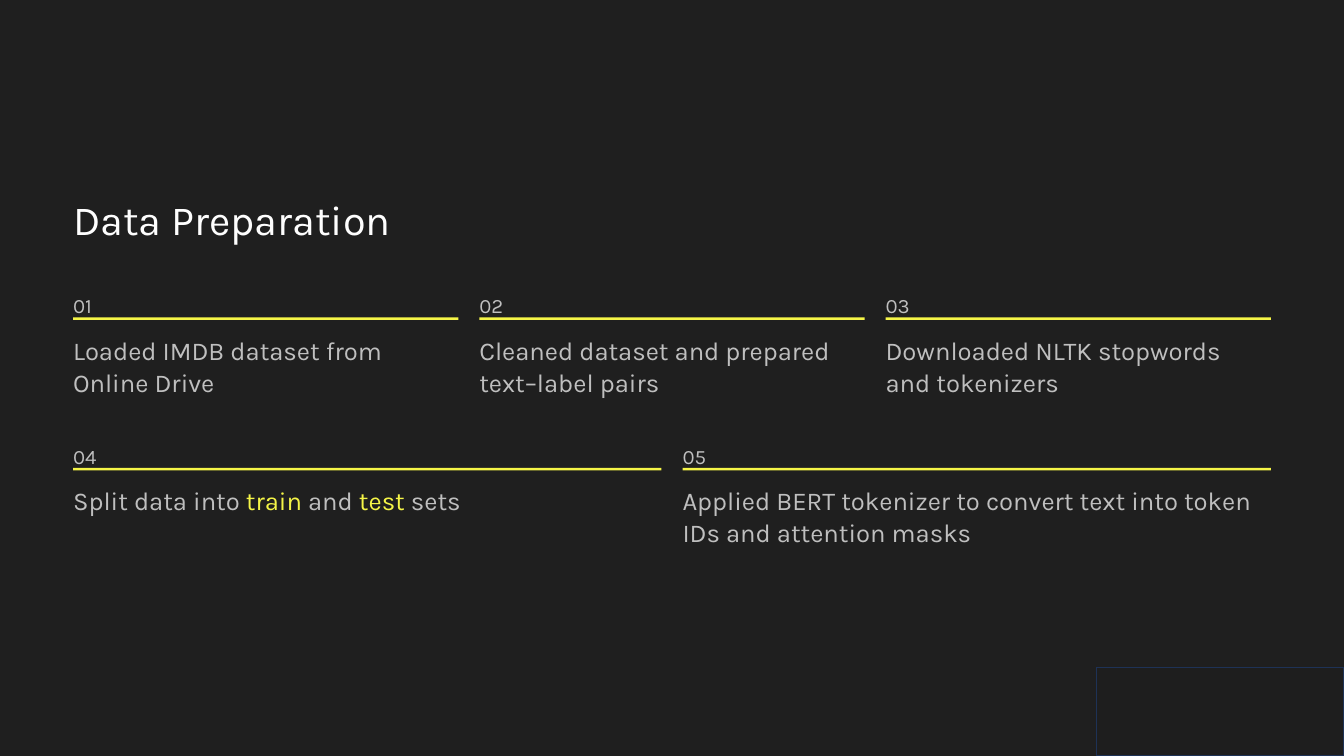
import pptx
import pptx.util
import pptx.dml.color
import pptx.enum.shapes
import pptx.enum.text
from pptx.util import Inches

DARK, WHITE, GREY, YELLOW = "1F1F1F", "FEFEFE", "BFBFBF", "F5F547"
LEFT, WIDTH, GAP = 0.87, 14.26, 0.25
TOP, PITCH = 3.39, 1.79

# Stars enclose highlighted words
ROWS = [
    ["Loaded IMDB dataset from Online Drive",
     "Cleaned dataset and prepared text–label pairs",
     "Downloaded NLTK stopwords and tokenizers"],
    ["Split data into *train* and *test* sets",
     "Applied BERT tokenizer to convert text into token IDs and attention masks"],
]


def color(code):
    return pptx.dml.color.RGBColor.from_string(code)


def place(shape, x, y, w, h):
    shape.left, shape.top = Inches(x), Inches(y)
    shape.width, shape.height = Inches(w), Inches(h)


def write(shape, text, size, lead, tint, wrap=True):
    frame = shape.text_frame
    frame.margin_left = frame.margin_right = 0
    frame.margin_top = frame.margin_bottom = 0
    frame.auto_size = pptx.enum.text.MSO_AUTO_SIZE.NONE
    frame.vertical_anchor = pptx.enum.text.MSO_ANCHOR.TOP
    frame.word_wrap = wrap
    para = frame.paragraphs[0]
    para.alignment = pptx.enum.text.PP_ALIGN.LEFT
    para.line_spacing = pptx.util.Pt(lead)
    para.space_before = pptx.util.Pt(0)
    for i, part in enumerate(text.split("*")):
        run = para.add_run()
        run.text = part
        run.font.name = "Karla"
        run.font.size = pptx.util.Pt(size)
        run.font.color.rgb = color(YELLOW if i % 2 else tint)


def label(slide, x, y, w, h, *style, wrap=True):
    box = slide.shapes.add_textbox(Inches(x), Inches(y), Inches(w), Inches(h))
    write(box, *style, wrap=wrap)


def block(slide, x, y, w, h, fill, line=None):
    shape = slide.shapes.add_shape(
        pptx.enum.shapes.MSO_SHAPE.RECTANGLE,
        Inches(x), Inches(y), Inches(w), Inches(h))
    shape.shadow.inherit = False
    shape.fill.solid()
    shape.fill.fore_color.rgb = color(fill)
    if line:
        shape.line.color.rgb = color(line)
        shape.line.width = pptx.util.Pt(1)
    else:
        shape.line.fill.background()


def step(slide, num, text, x, y, w):
    label(slide, x, y, 0.25, 0.31, f"{num:02}", 17.5, 28.5, GREY, wrap=False)
    block(slide, x, y + 0.39, w, 0.03, YELLOW)
    label(slide, x, y + 0.58, w, 0.78, text, 22, 27.5, GREY)


def main():
    deck = pptx.Presentation()
    deck.slide_width, deck.slide_height = Inches(16), Inches(9)
    slide = deck.slides.add_slide(deck.slide_layouts[5])
    slide.background.fill.solid()
    slide.background.fill.fore_color.rgb = color(DARK)

    # Title
    title = slide.shapes.title
    place(title, LEFT, 2.28, 4.96, 0.62)
    write(title, "Data Preparation", 35.5, 44.5, WHITE, wrap=False)

    # Numbered steps, each row filling the full width
    num = 0
    for r, row in enumerate(ROWS):
        w = (WIDTH - GAP * (len(row) - 1)) / len(row)
        for c, text in enumerate(row):
            num += 1
            step(slide, num, text, LEFT + c * (w + GAP), TOP + r * PITCH, w)

    # Corner panel
    block(slide, 13.05, 7.95, 2.95, 1.05, "1E1E1E", "1E3256")

    deck.save("out.pptx")


if __name__ == "__main__":
    main()
